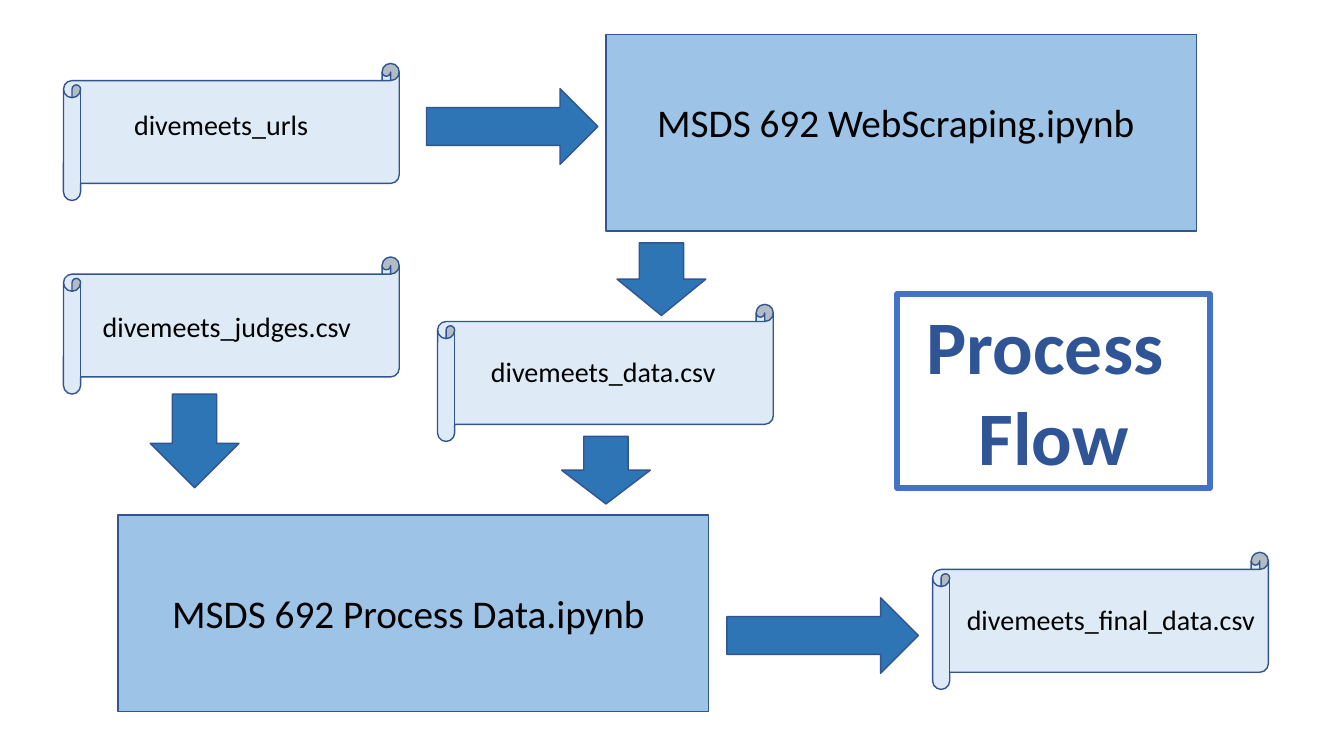
from dataclasses import dataclass

from pptx import Presentation
from pptx.dml.color import RGBColor
from pptx.enum.shapes import MSO_SHAPE
from pptx.enum.text import MSO_ANCHOR, PP_ALIGN
from pptx.shapes.autoshape import Shape
from pptx.slide import Slide
from pptx.text.text import TextFrame
from pptx.util import Inches, Pt

PROCESS = MSO_SHAPE.FLOWCHART_PROCESS
SCROLL = MSO_SHAPE.HORIZONTAL_SCROLL
RIGHT = MSO_SHAPE.RIGHT_ARROW
DOWN = MSO_SHAPE.DOWN_ARROW
RECTANGLE = MSO_SHAPE.RECTANGLE
LEFT_ALIGN, CENTER = PP_ALIGN.LEFT, PP_ALIGN.CENTER
TOP, MIDDLE = MSO_ANCHOR.TOP, MSO_ANCHOR.MIDDLE

FONT = "Calibri"
COLORS = {
    "process": "9DC3E6",
    "file": "DEEBF7",
    "arrow": "2E75B6",
    "outline": "325491",
    "frame": "4472C4",
    "heading": "2F5597",
    "text": "000000",
    "paper": "FFFFFF",
}
PROCESS_SIZE = (5.86, 1.95)
FILE_SIZE = (3.33, 1.36)


@dataclass(frozen=True)
class Block:
    kind: MSO_SHAPE
    fill: str
    left: float
    top: float
    width: float
    height: float
    line: str = "outline"
    line_width: float = 1


@dataclass(frozen=True)
class Label:
    text: str
    size: int
    left: float
    top: float
    width: float
    height: float
    wrap: bool = True


BLOCKS = [
    Block(PROCESS, "process", 1.17, 5.11, *PROCESS_SIZE),
    Block(PROCESS, "process", 6.01, 0.34, *PROCESS_SIZE),
    Block(SCROLL, "file", 4.34, 3.02, *FILE_SIZE),
    Block(SCROLL, "file", 0.63, 2.55, *FILE_SIZE),
    Block(SCROLL, "file", 9.25, 5.48, *FILE_SIZE),
    Block(SCROLL, "file", 0.63, 0.63, *FILE_SIZE),
]
ARROWS = [
    Block(RIGHT, "arrow", 4.23, 0.88, 1.7, 0.75),
    Block(DOWN, "arrow", 6.12, 2.41, 0.88, 0.72),
    Block(DOWN, "arrow", 1.49, 3.91, 0.88, 0.93),
    Block(DOWN, "arrow", 5.57, 4.33, 0.88, 0.67),
    Block(RIGHT, "arrow", 7.21, 5.93, 1.9, 0.75),
]
URLS = Label("divemeets_urls", 20, 1.23, 0.95, 2.2, 0.61)
LABELS = [
    Label("MSDS 692 WebScraping.ipynb", 28, 6.42, 0.93, 5.03, 0.57),
    Label("divemeets_data.csv", 20, 4.77, 3.47, 2.78, 0.44),
    Label("divemeets_judges.csv", 20, 0.92, 3.02, 3.07, 0.44),
    Label("MSDS 692 Process Data.ipynb", 28, 1.61, 5.8, 4.99, 0.57),
    Label("divemeets_final_data.csv", 20, 9.49, 5.93, 3.09, 0.44, wrap=False),
]
HEADING = Block(RECTANGLE, "paper", 8.9, 2.92, 3.1, 1.92, "frame", 4.5)


def color(name: str) -> RGBColor:
    return RGBColor.from_string(COLORS[name])


def bounds(item: Block | Label) -> list[int]:
    return [Inches(n) for n in (item.left, item.top, item.width, item.height)]


def write(frame: TextFrame, text: str, size: int, ink: str = "text",
          align: PP_ALIGN = LEFT_ALIGN, bold: bool = False) -> None:
    frame.text = text
    for para in frame.paragraphs:
        para.alignment = align
        para.font.name = FONT
        para.font.size = Pt(size)
        para.font.bold = bold
        para.font.color.rgb = color(ink)


def draw_block(page: Slide, block: Block) -> Shape:
    shape = page.shapes.add_shape(block.kind, *bounds(block))
    shape.shadow.inherit = False
    shape.fill.solid()
    shape.fill.fore_color.rgb = color(block.fill)
    shape.line.color.rgb = color(block.line)
    shape.line.width = Pt(block.line_width)
    return shape


def draw_label(page: Slide, label: Label) -> None:
    box = page.shapes.add_textbox(*bounds(label))
    box.text_frame.word_wrap = label.wrap
    write(box.text_frame, label.text, label.size)


def place_title(page: Slide, label: Label) -> None:
    """Fill the title placeholder and bring it in front of the scrolls."""
    title = page.shapes.title
    title.left, title.top, title.width, title.height = bounds(label)
    frame = title.text_frame
    frame.vertical_anchor = MIDDLE
    write(frame, label.text, label.size)
    frame.paragraphs[0].line_spacing = 0.9
    title.element.getparent().append(title.element)


def main() -> None:
    deck = Presentation()
    deck.slide_width, deck.slide_height = Inches(13.33), Inches(7.5)
    page = deck.slides.add_slide(deck.slide_layouts.get_by_name("Title Only"))

    for block in BLOCKS:
        draw_block(page, block)
    place_title(page, URLS)
    for label in LABELS:
        draw_label(page, label)
    for arrow in ARROWS:
        draw_block(page, arrow)

    heading = draw_block(page, HEADING).text_frame
    heading.word_wrap = True
    heading.vertical_anchor = TOP
    write(heading, "Process \nFlow", 54, "heading", CENTER, bold=True)

    deck.save("out.pptx")


if __name__ == "__main__":
    main()
